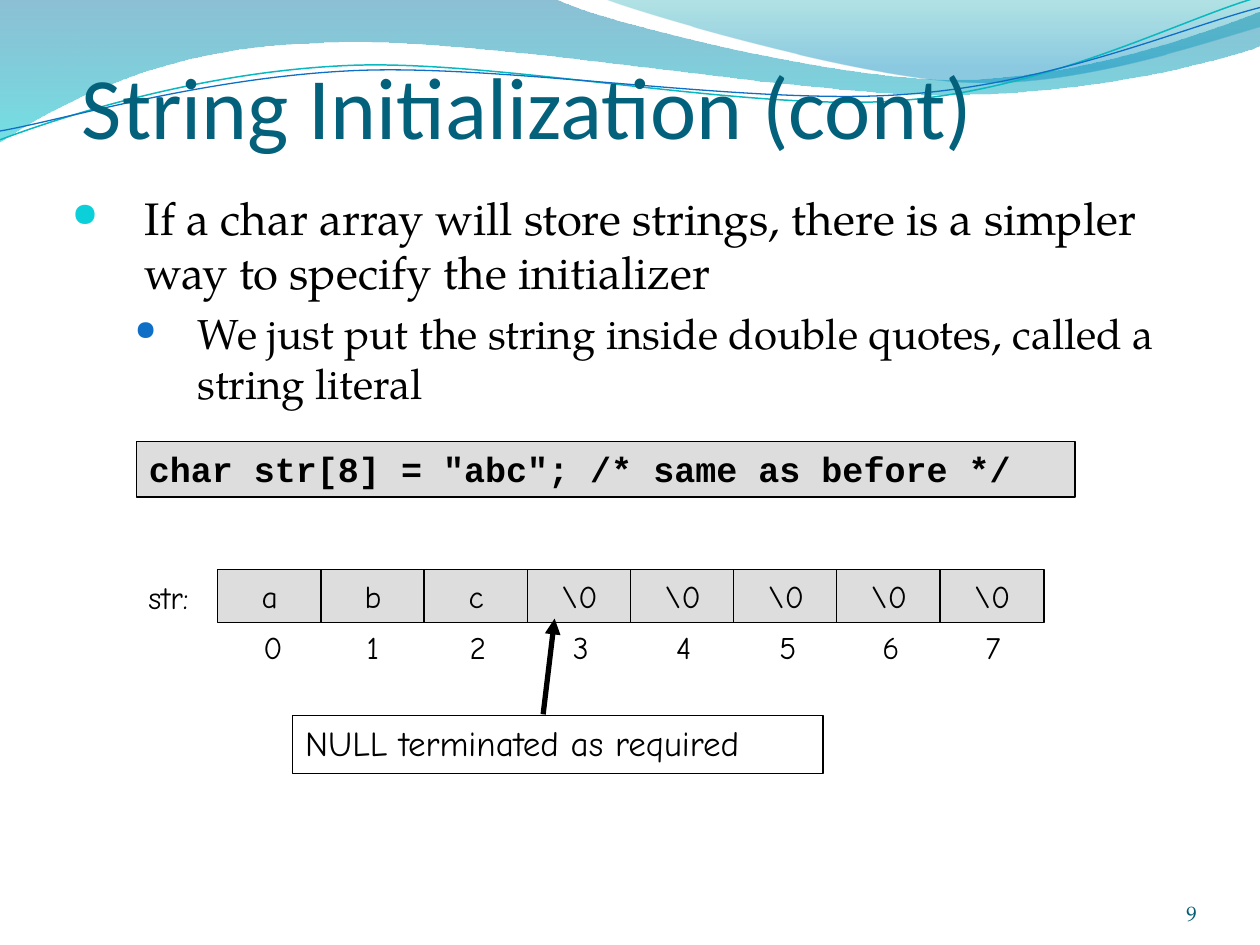
from dataclasses import dataclass
from typing import Optional

from lxml.etree import SubElement
from pptx import Presentation
from pptx.dml.color import RGBColor
from pptx.enum.shapes import MSO_CONNECTOR, MSO_SHAPE
from pptx.enum.text import MSO_ANCHOR, MSO_AUTO_SIZE, PP_ALIGN
from pptx.oxml.ns import qn
from pptx.util import Cm, Pt

COLORS = {
    "black": "000000", "grey": "DDDDDD", "title": "04617B", "number": "045D75",
    "cyan": "0BD0D9", "blue": "0F6FC6", "teal": "0AB8BF",
    "deep": "0074A1", "aqua": "00C6CF", "sea": "00A1A9", "sky": "008BBF",
}
HAND, SERIF, SANS, MONO = "Comic Neue", "TeX Gyre Pagella", "Calibri", "Courier New"
GRID = Cm(2.54) / 100  # unit of the wave coordinates


@dataclass
class Stop:
    position: float
    color: str
    alpha: int


@dataclass
class Wave:
    """Points with two values are line ends, with six are Bezier segments."""
    points: list
    stops: Optional[list] = None
    color: str = ""
    width: float = 0


@dataclass
class Bullet:
    text: str
    level: int
    size: int
    margin: float
    hanging: float
    color: str
    percent: int


WAVES = [
    Wave([(0, 0), (440, -1), (476, 17, 664, 63, 758, 63), (853, 63, 958, 26, 1000, 9),
          (1001, 36), (983, 44, 870, 76, 746, 75), (622, 75, 382, 28, 257, 34),
          (129, 36, 46, 83, -1, 113)],
         stops=[Stop(0, "deep", 45), Stop(1, "aqua", 55)]),
    Wave([(479, -1), (509, 11, 682, 62, 769, 65), (856, 69, 961, 32, 1000, 21),
          (1000, 0)],
         stops=[Stop(0, "sea", 30), Stop(0.8, "sky", 45)]),
    Wave([(0, 111), (48, 93, 158, 57, 277, 52), (395, 47, 593, 89, 713, 80),
          (833, 71, 938, 15, 998, -2)], color="teal", width=0.85),
    Wave([(0, 104), (47, 96, 164, 61, 283, 56), (403, 51, 597, 84, 717, 75),
          (836, 67, 941, 21, 1000, 6)], color="blue", width=0.75),
]
BULLETS = [
    Bullet("If a char array will store strings, there is a simpler way to specify "
           "the initializer", 0, 26, 1.47, 1.47, "cyan", 73),
    Bullet("We just put the string inside double quotes, called a string literal",
           1, 24, 2.54, 1.27, "blue", 65),
]
CELLS = ["a", "b", "c"] + ["\\0"] * 5


def rgb(name: str) -> RGBColor:
    return RGBColor.from_string(COLORS[name])


def bend(sp, points: list) -> None:
    """Turn the straight segments that have control points into Bezier curves."""
    left, top = (min(p[axis] for p in points) for axis in (-2, -1))
    lines = list(sp.element.spPr.iter(qn("a:lnTo")))
    for line, point in zip(lines, points[1:]):
        if len(point) == 2:
            continue
        parent = line.getparent()
        curve = SubElement(parent, qn("a:cubicBezTo"))
        for x, y in zip(point[::2], point[1::2]):
            SubElement(curve, qn("a:pt"), x=str(x - left), y=str(y - top))
        parent.replace(line, curve)


def add_wave(s, wave: Wave) -> None:
    start, *rest = [point[-2:] for point in wave.points]
    builder = s.shapes.build_freeform(*start, scale=GRID)
    builder.add_line_segments(rest, close=bool(wave.stops))
    sp = builder.convert_to_shape()
    bend(sp, wave.points)
    sp.shadow.inherit = False
    if not wave.stops:
        sp.fill.background()
        sp.line.color.rgb = rgb(wave.color)
        sp.line.width = Pt(wave.width)
        return
    sp.line.fill.background()
    sp.fill.gradient()
    sp.fill.gradient_angle = 270
    for target, stop in zip(sp.fill.gradient_stops, wave.stops):
        target.position = stop.position
        target.color.rgb = rgb(stop.color)
    for clr, stop in zip(sp.element.spPr.iter(qn("a:srgbClr")), wave.stops):
        SubElement(clr, qn("a:alpha"), val=str(stop.alpha * 1000))


def style(p, size: float, font: str, color: str = "black", bold: bool = False) -> None:
    for r in p.runs:
        r.font.size, r.font.name, r.font.bold = Pt(size), font, bold
        r.font.color.rgb = rgb(color)


def add_label(s, text: str, x: float, y: float, w: float, h: float,
              size: float = 18, font: str = HAND, color: str = "black",
              wrap: bool = False):
    tb = s.shapes.add_textbox(Cm(x), Cm(y), Cm(w), Cm(h))
    tf = tb.text_frame
    tf.word_wrap = wrap
    tf.text = text
    style(tf.paragraphs[0], size, font, color)
    return tf


def add_box(s, text: str, x: float, y: float, w: float, h: float, size: float = 18,
            font: str = HAND, fill: str = "", bold: bool = False,
            align=PP_ALIGN.LEFT, anchor=MSO_ANCHOR.TOP, wrap: bool = True) -> None:
    sp = s.shapes.add_shape(MSO_SHAPE.RECTANGLE, Cm(x), Cm(y), Cm(w), Cm(h))
    sp.shadow.inherit = False
    if fill:
        sp.fill.solid()
        sp.fill.fore_color.rgb = rgb(fill)
    else:
        sp.fill.background()
    sp.line.color.rgb = rgb("black")
    sp.line.width = Pt(0.75)
    tf = sp.text_frame
    tf.word_wrap = wrap
    tf.vertical_anchor = anchor
    tf.text = text
    tf.paragraphs[0].alignment = align
    style(tf.paragraphs[0], size, font, bold=bold)


def format_bullet(p, bullet: Bullet) -> None:
    p.level = bullet.level
    p.space_before = Pt(bullet.size * 0.2)
    style(p, bullet.size, SERIF)
    pPr = p._p.get_or_add_pPr()
    pPr.set("marL", str(Cm(bullet.margin)))
    pPr.set("indent", str(-Cm(bullet.hanging)))
    SubElement(SubElement(pPr, qn("a:buClr")), qn("a:srgbClr"), val=COLORS[bullet.color])
    SubElement(pPr, qn("a:buSzPct"), val=str(bullet.percent * 1000))
    SubElement(pPr, qn("a:buChar"), char="●")


def main() -> None:
    prs = Presentation()
    prs.slide_width, prs.slide_height = Cm(25.4), Cm(19.05)
    s = prs.slides.add_slide(prs.slide_layouts[5])

    # Wave decoration, with the title raised above it
    for wave in WAVES:
        add_wave(s, wave)
    title = s.shapes.title
    title.element.getparent().append(title.element)
    title.left, title.top, title.width, title.height = Cm(1.65), Cm(0), Cm(22.86), Cm(3.17)
    tf = title.text_frame
    tf.text = "String Initialization (cont)"
    tf.auto_size = MSO_AUTO_SIZE.NONE
    tf.vertical_anchor = MSO_ANCHOR.BOTTOM
    tf.margin_left = tf.margin_right = tf.margin_bottom = 0
    tf.paragraphs[0].alignment = PP_ALIGN.LEFT
    style(tf.paragraphs[0], 50, SANS, "title")

    # Bulleted text
    tf = add_label(s, "", 1.2, 3.7, 23.62, 5.18, wrap=True)
    tf.text = "\n".join(b.text for b in BULLETS)
    for p, bullet in zip(tf.paragraphs, BULLETS):
        format_bullet(p, bullet)

    # Slide number
    tf = add_label(s, "9", 22.02, 17.65, 2.11, 1.02, 12, SERIF, "number", wrap=True)
    tf.margin_left = tf.margin_right = tf.margin_top = tf.margin_bottom = 0
    tf.vertical_anchor = MSO_ANCHOR.BOTTOM
    tf.paragraphs[0].alignment = PP_ALIGN.RIGHT

    # Code line
    add_box(s, 'char str[8] = "abc"; /* same as before */', 2.75, 8.9, 18.92, 1.12,
            20, MONO, "grey", bold=True)

    # Array cells with their indexes
    add_label(s, "str:", 2.74, 11.53, 1.63, 1.02)
    for i, value in enumerate(CELLS):
        x = 4.39 + 2.08 * i
        add_box(s, value, x, 11.48, 2.1, 1.07, fill="grey", align=PP_ALIGN.CENTER,
                anchor=MSO_ANCHOR.MIDDLE, wrap=False)
        add_label(s, str(i), x + 0.67, 12.54, 0.89, 1.02)

    # Callout and its arrow
    add_box(s, "NULL terminated as required", 5.9, 14.42, 10.69, 1.17, 20)
    arrow = s.shapes.add_connector(MSO_CONNECTOR.STRAIGHT, Cm(10.95), Cm(14.4),
                                   Cm(11.18), Cm(12.47))
    arrow.line.color.rgb = rgb("black")
    arrow.line.width = Pt(3)
    SubElement(arrow.line._get_or_add_ln(), qn("a:tailEnd"), type="triangle")
    SubElement(arrow.element.spPr, qn("a:effectLst"))

    prs.save("out.pptx")


if __name__ == "__main__":
    main()
